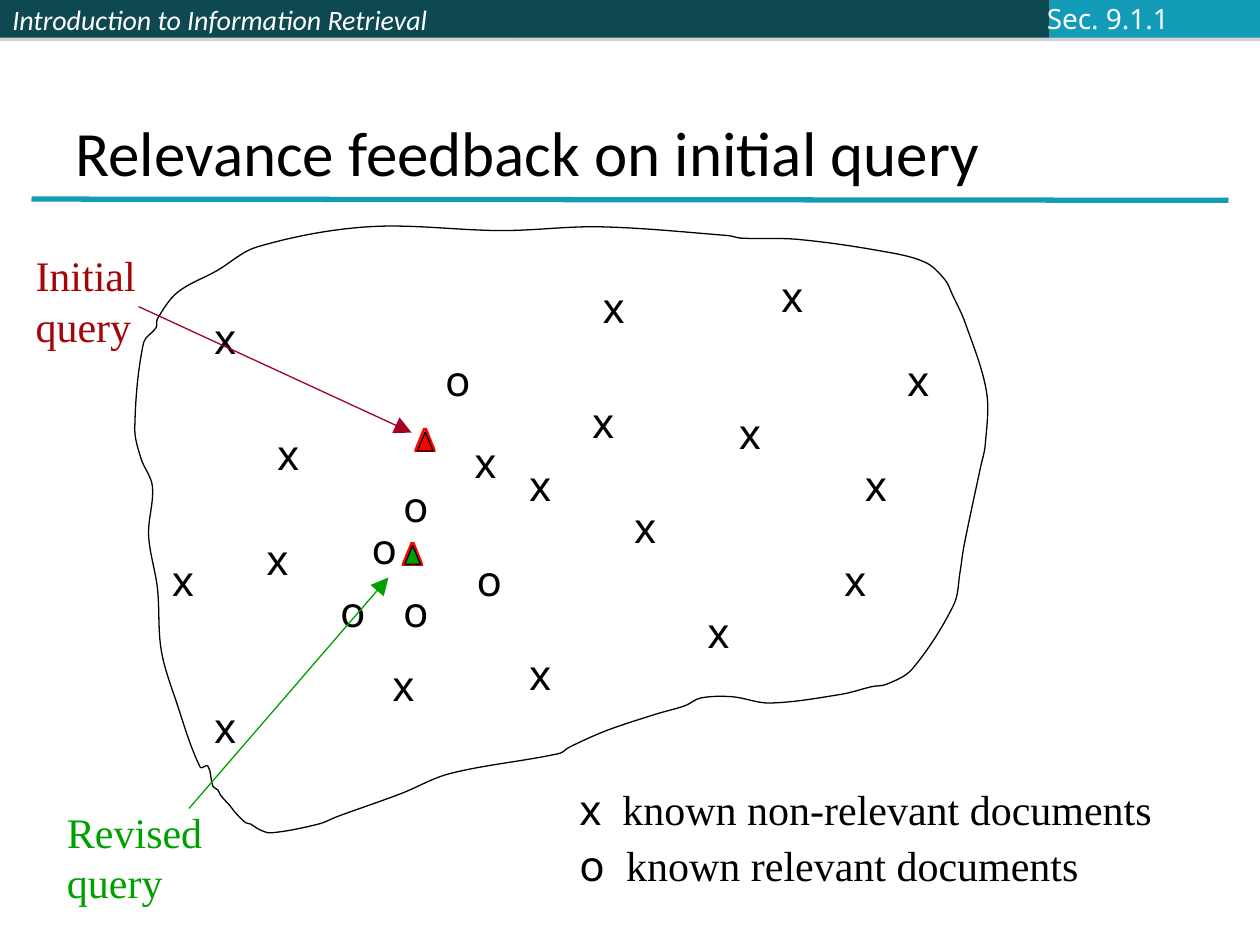
from dataclasses import dataclass
from math import dist

from lxml import etree
from pptx import Presentation
from pptx.dml.color import RGBColor
from pptx.enum.shapes import MSO_CONNECTOR, MSO_SHAPE
from pptx.enum.text import MSO_ANCHOR, MSO_AUTO_SIZE, PP_ALIGN
from pptx.oxml.ns import qn
from pptx.util import Inches, Pt

STRAIGHT = MSO_CONNECTOR.STRAIGHT
RECTANGLE = MSO_SHAPE.RECTANGLE
MIDDLE, BOTTOM = MSO_ANCHOR.MIDDLE, MSO_ANCHOR.BOTTOM
NO_AUTOFIT = MSO_AUTO_SIZE.NONE
LEFT = PP_ALIGN.LEFT
TITLE_ONLY = 5


@dataclass(frozen=True)
class Theme:
    dark: str = "0E4851"
    accent: str = "139CB7"
    shadow: str = "808080"
    black: str = "000000"
    white: str = "FFFFFF"
    section: str = "FBFCFF"
    initial: str = "A40508"
    initial_arrow: str = "A50021"
    revised: str = "00A000"
    red: str = "FF0000"
    heading: str = "Calibri"
    body: str = "Times New Roman"
    symbol: str = "Noto Sans"
    delta: str = "Arial"
    title_size: int = 36
    body_size: int = 24
    delta_size: int = 20
    header_size: int = 16
    thin: float = 0.75
    thick: float = 3


@dataclass(frozen=True)
class Grid:
    """Square grid: origin and step in inches."""
    left: float
    top: float
    step: float

    def point(self, column, row):
        return Inches(self.left + column * self.step), Inches(self.top + row * self.step)

    def box(self, column, row, columns, rows):
        return *self.point(column, row), Inches(columns * self.step), Inches(rows * self.step)


THEME = Theme()
SLIDE = Grid(0, 0, 1)
PLOT = Grid(0.1, 0.1, 1 / 12)
OUTLINE = Grid(0, 0, 0.01)

NON_RELEVANT = [
    (48, 42), (54, 36), (58, 46), (23, 49), (42.8, 39.8), (55, 25), (24, 39), (68, 37), (18, 28),
    (72, 24), (18, 65), (14, 51), (48, 60), (35, 61), (80, 42), (65, 56), (78, 51), (84, 32)]
RELEVANT = [(30, 54), (43, 51), (36, 54), (33, 48), (40, 32), (36, 44)]

COLLECTION = [
    (159, 609), (140, 557), (128, 516), (125, 467), (118, 425), (121, 386), (112, 364), (107, 340),
    (114, 272), (124, 260), (125, 253), (141, 232), (172, 215), (204, 196), (292, 180), (399, 183),
    (476, 180), (578, 187), (588, 189), (633, 190), (698, 199), (734, 208), (750, 222), (756, 234),
    (766, 256), (783, 311), (782, 353), (778, 372), (765, 434), (762, 454), (757, 480), (724, 531),
    (704, 543), (692, 545), (668, 551), (611, 558), (581, 553), (556, 554), (544, 560), (520, 567),
    (481, 580), (452, 593), (444, 598), (357, 614), (318, 630), (268, 648), (253, 654),
    (215, 661), (205, 658), (199, 654), (195, 653), (186, 644), (183, 640), (175, 631),
    (173, 627), (169, 624), (165, 608)]


def color(value):
    return RGBColor.from_string(value)


def add_run(paragraph, text, font, size, ink, italic=False):
    run = paragraph.add_run()
    run.text = text
    run.font.name, run.font.size, run.font.italic = font, Pt(size), italic
    run.font.color.rgb = color(ink)


def add_label(shapes, box, text, font, size, ink, wrap=True):
    label = shapes.add_textbox(*box)
    label.text_frame.word_wrap = wrap
    add_run(label.text_frame.paragraphs[0], text, font, size, ink)
    return label


def add_line(shapes, start, end, ink, width, arrow=False):
    line = shapes.add_connector(STRAIGHT, *start, *end)
    line.line.color.rgb, line.line.width = color(ink), Pt(width)
    if arrow:
        etree.SubElement(line.line._get_or_add_ln(), qn("a:tailEnd"),
                         type="triangle", w="lg", len="lg")
    etree.SubElement(line._element.spPr, qn("a:effectLst"))


def add_outline(shapes, points, fill):
    builder = shapes.build_freeform(*points[0])
    builder.add_line_segments(points[1:] + points[:1], close=True)
    shape = builder.convert_to_shape()
    shape.shadow.inherit = False
    shape.fill.solid()
    shape.fill.fore_color.rgb = color(fill)
    shape.line.color.rgb, shape.line.width = color(THEME.black), Pt(THEME.thin)
    return shape


def smooth(shape):
    """Turn the straight sides of a closed outline into curves."""
    sides = list(shape._element.iter(qn("a:lnTo")))
    corners = [(int(side[0].get("x")), int(side[0].get("y"))) for side in sides]

    def handle(previous, corner, following, reach):
        share = reach / 3 / dist(previous, following)
        return [c + (f - p) * share for p, c, f in zip(previous, corner, following)]

    for index, side in enumerate(sides):
        before, start, end, after = [
            corners[(index + shift) % len(corners)] for shift in (-2, -1, 0, 1)]
        reach = dist(start, end)
        side.tag = qn("a:cubicBezTo")
        handles = handle(before, start, end, reach), handle(after, end, start, reach)
        for position, (x, y) in enumerate(handles):
            side.insert(position, etree.Element(qn("a:pt"), x=str(round(x)), y=str(round(y))))


def add_bar(shapes, box, fill):
    bar = shapes.add_shape(RECTANGLE, *box)
    bar.fill.solid()
    bar.fill.fore_color.rgb = color(fill)
    bar.line.fill.background()
    bar.shadow.inherit = False
    effects = bar._element.spPr.find(qn("a:effectLst"))
    shadow = etree.SubElement(effects, qn("a:outerShdw"), dist=str(Pt(1.8)), dir="5400000")
    tint = etree.SubElement(shadow, qn("a:srgbClr"), val=THEME.shadow)
    etree.SubElement(tint, qn("a:alpha"), val="35000")
    return bar


def add_header(shapes, grid, height=0.3):
    edges = [0, 4.08, 8.33, 10]
    fills = [THEME.dark, THEME.dark, THEME.accent]
    bars = [add_bar(shapes, grid.box(left, 0, right - left, height), fill)
            for left, right, fill in zip(edges, edges[1:], fills)]
    frame = bars[0].text_frame
    frame.vertical_anchor, frame.word_wrap = MIDDLE, True
    frame.paragraphs[0].alignment = LEFT
    add_run(frame.paragraphs[0], "Introduction to Information Retrieval",
            THEME.heading, THEME.header_size, THEME.white, italic=True)
    section = add_label(shapes, grid.box(8.21, -0.04, 1.53, 0.37), "Sec. 9.1.1",
                        THEME.symbol, THEME.header_size, THEME.section, wrap=False)
    section.text_frame.vertical_anchor = MIDDLE


def add_title(shapes, grid):
    title = shapes.title
    title.left, title.top, title.width, title.height = grid.box(0.5, 0.3, 9, 1.25)
    frame = title.text_frame
    frame.auto_size, frame.vertical_anchor = NO_AUTOFIT, BOTTOM
    frame.paragraphs[0].alignment = LEFT
    add_run(frame.paragraphs[0], "Relevance feedback on initial query",
            THEME.heading, THEME.title_size, THEME.black)
    add_line(shapes, grid.point(0.25, 1.58), grid.point(9.75, 1.59), THEME.accent, THEME.thick)


def add_query_marker(shapes, grid, column, row, fill):
    group = shapes.add_group_shape().shapes
    add_label(group, grid.box(column, row, 6, 5.28), "Δ",
              THEME.delta, THEME.delta_size, THEME.red)
    corners = [(1.55, 3.75), (2.3, 1.95), (3.05, 3.75)]
    add_outline(group, [grid.point(column + x, row + y) for x, y in corners], fill)


def add_plot(shapes, grid):
    for symbol, width, places in (("x", 4, NON_RELEVANT), ("o", 8, RELEVANT)):
        for column, row in places:
            add_label(shapes, grid.box(column, row, width, 6), symbol,
                      THEME.symbol, THEME.body_size, THEME.black)
    add_query_marker(shapes, grid, 37, 38, THEME.red)
    add_query_marker(shapes, grid, 35.8, 48.8, THEME.revised)
    add_label(shapes, grid.box(1, 22, 15, 10.8), "Initial query",
              THEME.body, THEME.body_size, THEME.initial)
    add_label(shapes, grid.box(4, 75, 23, 10.8), "Revised query",
              THEME.body, THEME.body_size, THEME.revised)
    add_line(shapes, grid.point(12, 28), grid.point(38, 40),
             THEME.initial_arrow, THEME.thin, arrow=True)
    add_line(shapes, grid.point(16.8, 75.8), grid.point(35.8, 53.8),
             THEME.revised, THEME.thin, arrow=True)


def add_legend(shapes, grid):
    frame = shapes.add_textbox(*grid.box(4.5, 6.17, 4.92, 0.94)).text_frame
    frame.word_wrap = True
    entries = [("x", 0.34, "known non-relevant documents"), ("o", 0.37, "known relevant documents")]
    for index, (symbol, indent, meaning) in enumerate(entries):
        paragraph = frame.add_paragraph() if index else frame.paragraphs[0]
        tabs = etree.SubElement(paragraph._p.get_or_add_pPr(), qn("a:tabLst"))
        etree.SubElement(tabs, qn("a:tab"), pos=str(Inches(indent)), algn="l")
        if index:
            paragraph.space_before = Pt(3)
        add_run(paragraph, symbol, THEME.symbol, THEME.body_size, THEME.black)
        add_run(paragraph, "\t" + meaning, THEME.body, THEME.body_size, THEME.black)


def main():
    presentation = Presentation()
    presentation.slide_width, presentation.slide_height = Inches(10), Inches(7.5)
    shapes = presentation.slides.add_slide(presentation.slide_layouts[TITLE_ONLY]).shapes
    add_header(shapes, SLIDE)
    add_title(shapes, SLIDE)
    smooth(add_outline(shapes, [OUTLINE.point(*spot) for spot in COLLECTION], THEME.white))
    add_plot(shapes, PLOT)
    add_legend(shapes, SLIDE)
    presentation.save("out.pptx")


if __name__ == "__main__":
    main()
